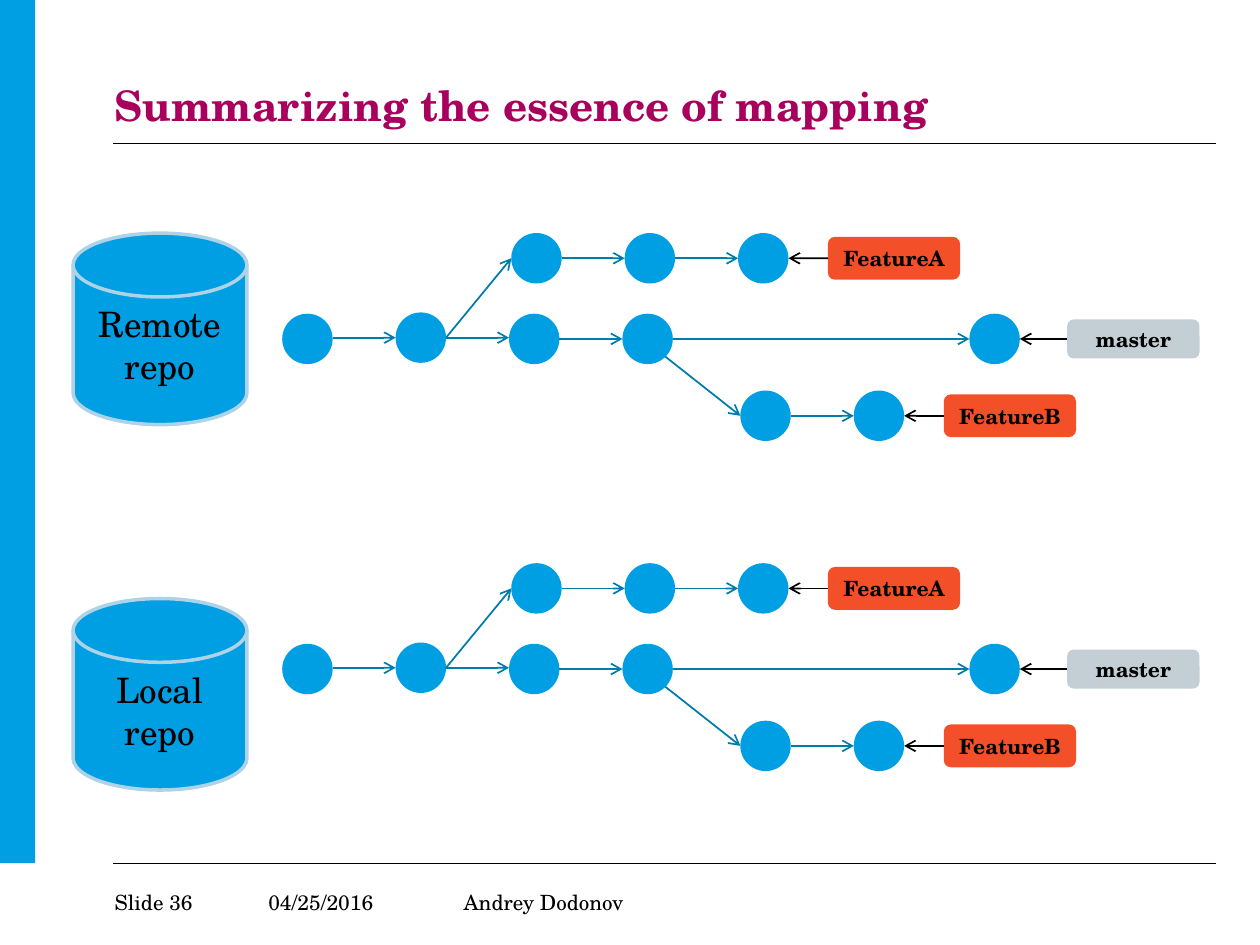
"""Build a slide that maps remote repo branches to local repo branches."""
from lxml import etree
from pptx import Presentation
from pptx import util as u
from pptx.dml.color import RGBColor
from pptx.enum import shapes, text
from pptx.oxml.ns import qn

COLORS = {"blue": "009EE3", "arrow": "007CAA", "pale": "AED3E7", "black": "000000",
          "title": "A8005C", "feature": "F34F29", "master": "C3CED5"}
FONT = "TeX Gyre Schola"
W, H = 10, 7.5
LEFT, RIGHT = 0.09 * W, 0.965 * W
X0, COL, DOT, REPO_GAP = 2.44, 0.9, 0.4, 2.62
R = DOT / 2
DIAG = 0.14
LANES = {"A": 2.05, "main": 2.69, "B": 3.3}
COMMITS = {"m1": (0, "main", 0), "m2": (1, "main", -0.01), "m3": (2, "main", 0),
           "m4": (3, "main", 0), "m5": (6.06, "main", 0),
           "a1": (2.02, "A", 0), "a2": (3.02, "A", 0), "a3": (4.02, "A", 0),
           "b1": (4.04, "B", 0), "b2": (5.04, "B", 0)}
ARROWS = [("m1", "m2"), ("m2", "m3"), ("m3", "m4"), ("m4", "m5"), ("m2", "a1"),
          ("a1", "a2"), ("a2", "a3"), ("m4", "b1"), ("b1", "b2")]
LABELS = [("FeatureA", "a3", 6.57, 0.34, "feature"), ("master", "m5", 8.47, 0.31, "master"),
          ("FeatureB", "b2", 7.49, 0.34, "feature")]
SHAPE = shapes.MSO_SHAPE

prs = Presentation()
prs.slide_width, prs.slide_height = u.Inches(W), u.Inches(H)
s = prs.slides.add_slide(prs.slide_layouts[6])


def box(kind, x, y, w, h, fill=None, lines=(), color="black", border=None, **font):
    at = [u.Inches(v) for v in (x, y, w, h)]
    sp = s.shapes.add_shape(kind, *at) if kind else s.shapes.add_textbox(*at)
    tf = sp.text_frame
    if kind:
        sp.shadow.inherit = False
        sp.fill.solid()
        sp.fill.fore_color.rgb = RGBColor.from_string(COLORS[fill])
        sp.line.fill.background()
        tf.vertical_anchor = text.MSO_ANCHOR.MIDDLE
    else:
        tf.word_wrap = True
        for side in ("left", "top", "right", "bottom"):
            setattr(tf, f"margin_{side}", 0)
    if border:
        sp.line.color.rgb = RGBColor.from_string(COLORS[border])
        sp.line.width = u.Pt(2)
    for i, words in enumerate(lines):
        p = tf.add_paragraph() if i else tf.paragraphs[0]
        p.alignment = text.PP_ALIGN.CENTER if kind else text.PP_ALIGN.LEFT
        r = p.add_run()
        r.text = words
        r.font.color.rgb = RGBColor.from_string(COLORS[color])
        for name, value in {"name": FONT, **font}.items():
            setattr(r.font, name, value)
    return sp


def line(x1, y1, x2, y2, color="black", width=1, arrow=True):
    cn = s.shapes.add_connector(shapes.MSO_CONNECTOR.STRAIGHT,
                                *[u.Inches(v) for v in (x1, y1, x2, y2)])
    cn.line.color.rgb = RGBColor.from_string(COLORS[color])
    cn.line.width = u.Pt(width)
    if arrow:
        etree.SubElement(cn.line._get_or_add_ln(), qn("a:tailEnd"), type="arrow")
    etree.SubElement(cn._element.spPr, qn("a:effectLst"))
    return cn


box(SHAPE.RECTANGLE, 0, 0, 0.028 * W, 6.85, "blue")
for y in (6.85, 1.14):
    line(LEFT, y, RIGHT, y, width=0.5, arrow=False)

title = box(None, 0.91, 0.68, 8.74, 0.39, lines=["Summarizing the essence of mapping"],
            color="title", size=u.Pt(24), bold=True)
title.text_frame.paragraphs[0].line_spacing = 0.9
for x, w, words in ((0.91, 0.8, "Slide 36"), (2.13, 1.1, "04/25/2016"),
                    (3.68, 1.5, "Andrey Dodonov")):
    footer = box(None, x, 7.06, w, 0.2, lines=[words], size=u.Pt(12))
    footer.text_frame.vertical_anchor = text.MSO_ANCHOR.MIDDLE

for i, (repo, top) in enumerate((("Remote", 1.85), ("Local", 4.75))):
    dots = {name: (X0 + COL * col, LANES[lane] + shift + REPO_GAP * i)
            for name, (col, lane, shift) in COMMITS.items()}
    for x, y in dots.values():
        box(SHAPE.OVAL, x - R, y - R, DOT, DOT, "blue")
    for a, b in ARROWS:
        (x1, y1), (x2, y2) = dots[a], dots[b]
        if COMMITS[a][1] == COMMITS[b][1]:
            y1 = y2 = min(y1, y2)
        if b == "b1":
            x1, y1 = x1 + DIAG, y1 + DIAG
        else:
            x1 += R
        line(x1, y1, x2 - R, y2, "arrow")
    for words, dot, left, h, fill in LABELS:
        x, y = dots[dot]
        label = box(SHAPE.ROUNDED_RECTANGLE, left, y - h / 2, 1.05, h, fill,
                    [words], size=u.Pt(12), bold=True)
        line(left, y, x + R, y).begin_connect(label, 1)
    box(SHAPE.FLOWCHART_MAGNETIC_DISK, 0.58, top, 1.38, 1.52, "blue", [repo, "repo"],
        border="pale", size=u.Pt(20))

prs.save("out.pptx")
